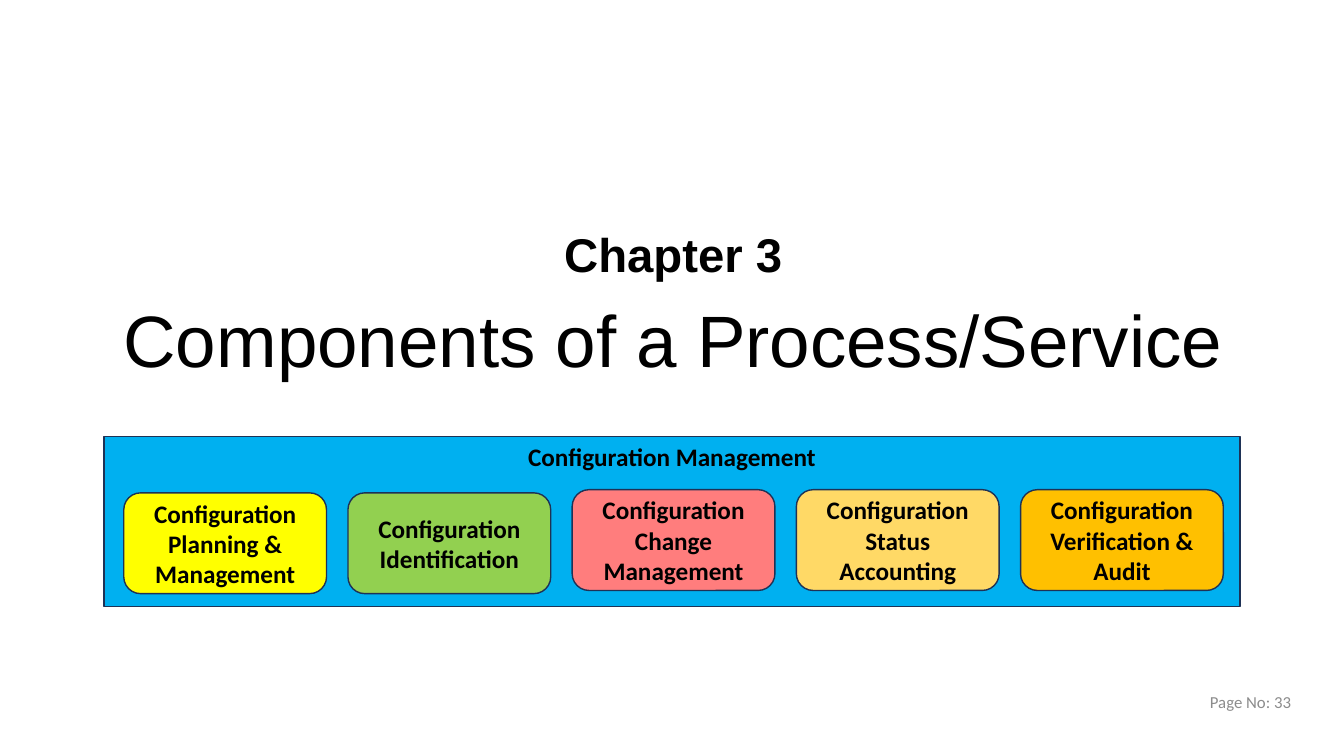
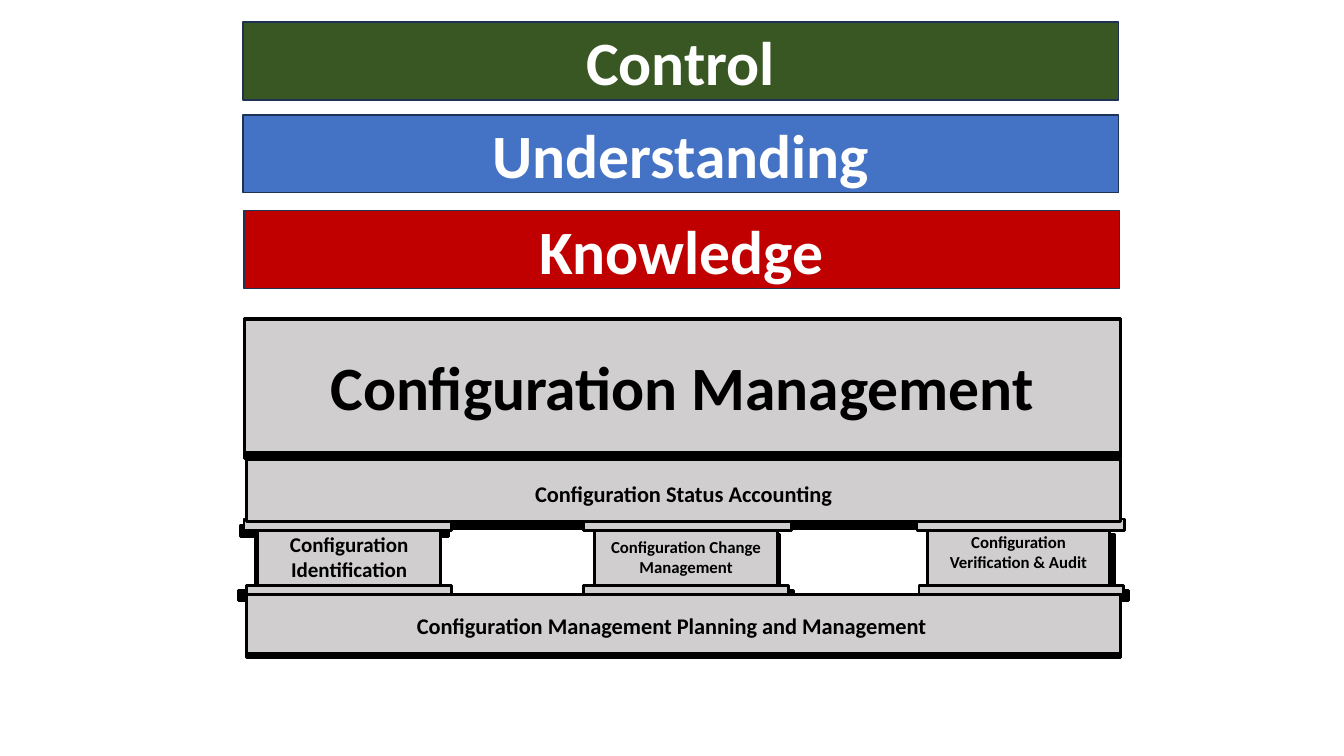
import pptx
import pptx.util
import pptx.dml.color
import pptx.enum.shapes
import pptx.enum.text
from dataclasses import dataclass

Cm = pptx.util.Cm
Pt = pptx.util.Pt
RECT = pptx.enum.shapes.MSO_SHAPE.RECTANGLE
ROUNDED = pptx.enum.shapes.MSO_SHAPE.ROUNDED_RECTANGLE
ALIGN = pptx.enum.text.PP_ALIGN
ANCHOR = pptx.enum.text.MSO_ANCHOR


@dataclass(frozen=True)
class Theme:
    heading_font: str = "Arial"
    body_font: str = "Calibri"
    black: str = "000000"
    white: str = "FFFFFF"
    muted: str = "8C8C8C"
    outline: str = "1E3256"
    sky: str = "00B0F0"
    yellow: str = "FFFF00"
    lime: str = "92D050"
    coral: str = "FF7D7D"
    sand: str = "FFD966"
    amber: str = "FFC000"
    forest: str = "385723"
    blue: str = "4472C4"
    red: str = "C00000"
    stone: str = "D0CECE"
    chapter: float = 33.8
    title: float = 52
    banner: float = 44
    label: float = 18
    slab: float = 16
    pillar: float = 15
    small: float = 12


def rgb(value):
    return pptx.dml.color.RGBColor.from_string(value)


class Deck:
    def __init__(self, theme):
        self.theme = theme
        self.presentation = pptx.Presentation()
        self.presentation.slide_width = Cm(33.87)
        self.presentation.slide_height = Cm(19.05)
        self.slide = None

    def new_slide(self):
        self.slide = self.presentation.slides.add_slide(self.presentation.slide_layouts[6])

    def add_lines(self, frame, lines, size, color, align=ALIGN.CENTER, font=None, bold=True):
        frame.word_wrap = True
        for index, line in enumerate(lines):
            paragraph = frame.paragraphs[0] if index == 0 else frame.add_paragraph()
            paragraph.alignment = align
            run = paragraph.add_run()
            run.text = line
            run.font.name = font or self.theme.body_font
            run.font.size = Pt(size)
            run.font.bold = bold
            run.font.color.rgb = rgb(color)

    def heading(self, chapter, title):
        theme = self.theme
        frame = self.slide.shapes.add_textbox(Cm(0.56), Cm(5.56), Cm(32.82), Cm(3.81)).text_frame
        self.add_lines(frame, [chapter, title], theme.chapter, theme.black, font=theme.heading_font)
        title_line = frame.paragraphs[1]
        title_line.space_before = Pt(9)
        title_line.runs[0].font.size = Pt(theme.title)
        title_line.runs[0].font.bold = False

    def page_number(self, text):
        frame = self.slide.shapes.add_textbox(Cm(26.44), Cm(17.27), Cm(6.35), Cm(0.81)).text_frame
        frame.vertical_anchor = ANCHOR.MIDDLE
        self.add_lines(frame, [text], self.theme.small, self.theme.muted, ALIGN.RIGHT, bold=False)

    def block(self, left, top, width, height, fill, lines=(), size=None, color=None,
              kind=RECT, line=None, weight=1, anchor=ANCHOR.MIDDLE, nudge=(0, 0)):
        """Draw a labelled block; nudge moves its label right and down, in cm."""
        shape = self.slide.shapes.add_shape(kind, Cm(left), Cm(top), Cm(width), Cm(height))
        shape.shadow.inherit = False
        shape.fill.solid()
        shape.fill.fore_color.rgb = rgb(fill)
        shape.line.color.rgb = rgb(line or self.theme.outline)
        shape.line.width = Pt(weight)
        if lines:
            frame = shape.text_frame
            frame.vertical_anchor = anchor
            right, down = nudge
            frame.margin_left = Cm(0.25 + 2 * max(right, 0))
            frame.margin_right = Cm(0.25 + 2 * max(-right, 0))
            frame.margin_top = Cm(0.13 + 2 * max(down, 0))
            frame.margin_bottom = Cm(0.13 + 2 * max(-down, 0))
            self.add_lines(frame, lines, size, color or self.theme.black)

    def stone(self, left, top, width, height, *label, **options):
        self.block(left, top, width, height, self.theme.stone, *label,
                   line=self.theme.black, weight=2, **options)

    def shade(self, left, top, width, height):
        self.block(left, top, width, height, self.theme.black, line=self.theme.black, weight=2)


def chapter_slide(deck):
    theme = deck.theme
    deck.new_slide()
    deck.heading("Chapter 3", "Components of a Process/Service")
    deck.page_number("Page No: 33")
    deck.block(2.62, 11, 28.63, 4.29, theme.sky, ["Configuration Management"], theme.label,
               anchor=ANCHOR.TOP)
    components = [
        ("Configuration Planning & Management", theme.yellow, 12.42),
        ("Configuration Identification", theme.lime, 12.42),
        ("Configuration Change Management", theme.coral, 12.34),
        ("Configuration Status Accounting", theme.sand, 12.34),
        ("Configuration Verification & Audit", theme.amber, 12.34),
    ]
    for index, (name, fill, top) in enumerate(components):
        deck.block(3.12 + 5.65 * index, top, 5.11, 2.54, fill, [name], theme.label, kind=ROUNDED)


def temple_slide(deck):
    theme = deck.theme
    deck.new_slide()
    bands = [
        ("Control", theme.forest, 6.12, 0.56),
        ("Understanding", theme.blue, 6.12, 2.9),
        ("Knowledge", theme.red, 6.15, 5.31),
    ]
    for name, fill, left, top in bands:
        deck.block(left, top, 22.07, 1.96, fill, [name], theme.banner, theme.white)

    slab_left, slab_width = 6.22, 22.02
    capital_lefts = (6.15, 14.71, 23.11)
    base_lefts = (6.22, 14.71, 23.16)

    deck.shade(slab_left, 11.84, slab_width, 1.47)
    for left in (6.02, 14.71, 23.16):
        deck.shade(left, 14.88, 5.28, 0.25)
    deck.shade(6.07, 13.23, 5.23, 0.3)
    for left in (6.45, 15.06, 23.5):
        deck.shade(left, 13.46, 4.6, 1.45)
    deck.shade(slab_left, 15.11, slab_width, 1.47)

    deck.stone(slab_left, 14.99, slab_width, 1.47,
               ["Configuration Management Planning and Management"], theme.slab, nudge=(-0.3, 0.04))
    pillars = [
        (6.5, ["Configuration", "Identification"], theme.pillar, 0),
        (14.99, ["Configuration Change Management"], theme.small, 0),
        (23.37, ["Configuration Verification & Audit"], theme.small, -0.12),
    ]
    for left, lines, size, drop in pillars:
        deck.stone(left, 13.31, 4.6, 1.45, lines, size, nudge=(0, drop))
    for capital_left, base_left in zip(capital_lefts, base_lefts):
        deck.stone(capital_left, 13.08, 5.23, 0.3)
        deck.stone(base_left, 14.76, 5.16, 0.23)

    deck.stone(slab_left, 11.58, slab_width, 1.57,
               ["Configuration Status Accounting"], theme.slab, nudge=(0, 0.06))
    deck.shade(6.17, 8.03, 22.07, 3.53)
    deck.stone(6.17, 8.05, 22.07, 3.35, ["Configuration Management"], theme.banner)


def main():
    deck = Deck(Theme())
    chapter_slide(deck)
    temple_slide(deck)
    deck.presentation.save("out.pptx")


if __name__ == "__main__":
    main()
